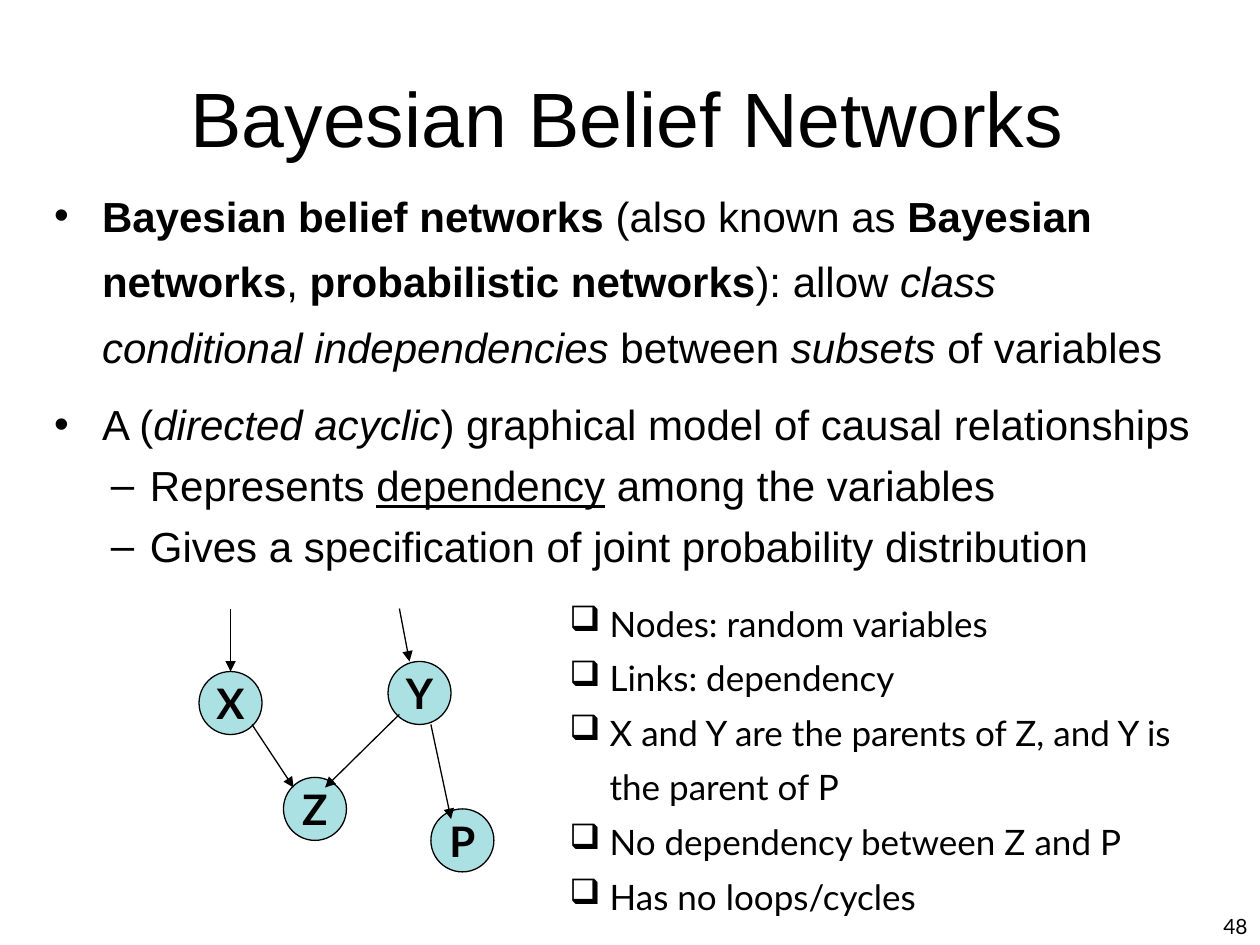
"""Build a slide that explains Bayesian belief networks."""
from lxml import etree
from pptx import Presentation
from pptx import util as u
from pptx.dml.color import RGBColor
from pptx.enum import shapes, text
from pptx.oxml import ns

HUES = {"ink": "000000", "node": "ACE1E3"}
NODES = {"X": (1.58, 5.33), "Y": (3.08, 5.25), "Z": (2.25, 6.17), "P": (3.42, 6.42)}
LINKS = [
    ((2, 5.75), (2.33, 6.25)),
    ((3.17, 5.67), (2.58, 6.25)),
    ((3.42, 5.75), (3.58, 6.5)),
    ((1.83, 4.83), (1.83, 5.33)),
    ((3.17, 4.83), (3.25, 5.25)),
]
POINTS = [
    (0, [("Bayesian belief networks", "b"), (" (also known as ", ""),
         ("Bayesian networks", "b"), (", ", ""), ("probabilistic networks", "b"),
         ("): allow ", ""), ("class conditional independencies", "i"),
         (" between ", ""), ("subsets", "i"), (" of variables", "")]),
    (0, [("A (", ""), ("directed acyclic", "i"),
         (") graphical model of causal relationships", "")]),
    (1, [("Represents ", ""), ("dependency", "u"), (" among the variables", "")]),
    (1, [("Gives a specification of joint probability distribution", "")]),
]
NOTES = [
    "Nodes: random variables",
    "Links: dependency",
    "X and Y are the parents of Z, and Y is the parent of P",
    "No dependency between Z and P",
    "Has no loops/cycles",
]


class Sheet:
    """Hold the style and the current slide."""

    head, main = "Arial", "Lato"
    levels = [("•", 0.42, 0.38, 1.3, 7), ("–", 0.8, 0.31, 1, 6)]

    def __init__(self, deck):
        self.slide = deck.slides.add_slide(deck.slide_layouts[1])

    def hue(self, name):
        return RGBColor.from_string(HUES[name])

    def place(self, shape, box):
        shape.left, shape.top, shape.width, shape.height = map(u.Inches, box)

    def pad(self, frame):
        frame.margin_left = frame.margin_top = frame.margin_bottom = u.Inches(0.06)
        frame.margin_right = u.Inches(0.1)
        frame.auto_size = text.MSO_AUTO_SIZE.NONE

    def style(self, run, size, face, marks=""):
        font = run.font
        font.size, font.name = u.Pt(size), face
        font.color.rgb = self.hue("ink")
        font.bold, font.italic, font.underline = (m in marks for m in "biu")

    def bullet(self, para, sign, left, hang):
        props = para._p.get_or_add_pPr()
        props.set("marL", str(u.Inches(left)))
        props.set("indent", str(-u.Inches(hang)))
        etree.SubElement(props, ns.qn("a:buChar"), char=sign)

    def title(self, words, box):
        shape = self.slide.shapes.title
        self.place(shape, box)
        frame = shape.text_frame
        self.pad(frame)
        frame.text = words
        frame.vertical_anchor = text.MSO_ANCHOR.MIDDLE
        para = frame.paragraphs[0]
        para.alignment = text.PP_ALIGN.CENTER
        self.style(para.runs[0], 44, self.head)

    def body(self, points, box):
        shape = self.slide.placeholders[1]
        self.place(shape, box)
        frame = shape.text_frame
        self.pad(frame)
        for i, (level, parts) in enumerate(points):
            para = frame.add_paragraph() if i else frame.paragraphs[0]
            sign, left, hang, space, gap = self.levels[level]
            para.level = level
            para.line_spacing = space
            para.space_before = u.Pt(gap if i else 0)
            self.bullet(para, sign, left, hang)
            for words, marks in parts:
                run = para.add_run()
                run.text = words
                self.style(run, 24, self.head, marks)

    def node(self, name, spot):
        oval = self.slide.shapes.add_shape(
            shapes.MSO_SHAPE.FLOWCHART_CONNECTOR, *map(u.Inches, (*spot, 0.5, 0.5)))
        oval.shadow.inherit = False
        oval.fill.solid()
        oval.fill.fore_color.rgb = self.hue("node")
        oval.line.color.rgb = self.hue("ink")
        oval.line.width = u.Pt(0.75)
        frame = oval.text_frame
        frame.text = name
        frame.word_wrap = False
        frame.vertical_anchor = text.MSO_ANCHOR.MIDDLE
        para = frame.paragraphs[0]
        para.alignment = text.PP_ALIGN.CENTER
        self.style(para.runs[0], 24, self.main, "b")

    def arrow(self, start, end):
        link = self.slide.shapes.add_connector(
            shapes.MSO_CONNECTOR.STRAIGHT, *map(u.Inches, (*start, *end)))
        link.line.color.rgb = self.hue("ink")
        link.line.width = u.Pt(0.75)
        etree.SubElement(link.line._get_or_add_ln(), ns.qn("a:tailEnd"), type="triangle")
        etree.SubElement(link._element.spPr, ns.qn("a:effectLst"))

    def label(self, words, box, size):
        frame = self.slide.shapes.add_textbox(*map(u.Inches, box)).text_frame
        frame.word_wrap = True
        frame.text = words
        for para in frame.paragraphs:
            self.style(para.runs[0], size, self.main)
        return frame

    def notes(self, lines, box):
        frame = self.label("\n".join(lines), box, 20)
        for para in frame.paragraphs:
            para.line_spacing = 1.3
            self.bullet(para, "❑", 0.32, 0.32)

    def number(self, words, box):
        frame = self.label(words, box, 12)
        frame.vertical_anchor = text.MSO_ANCHOR.BOTTOM
        frame.paragraphs[0].alignment = text.PP_ALIGN.RIGHT


def main():
    deck = Presentation()
    deck.slide_width, deck.slide_height = u.Inches(10), u.Inches(7.5)
    sheet = Sheet(deck)
    sheet.number("48", (7.92, 7.08, 2.08, 0.42))
    sheet.title("Bayesian Belief Networks", (0.5, 0.1, 9, 1.65))
    sheet.body(POINTS, (0.33, 1.33, 9.33, 3.29))
    for name, spot in NODES.items():
        sheet.node(name, spot)
    for start, end in LINKS:
        sheet.arrow(start, end)
    sheet.notes(NOTES, (4.42, 4.63, 5.4, 2.7))
    deck.save("out.pptx")


if __name__ == "__main__":
    main()
